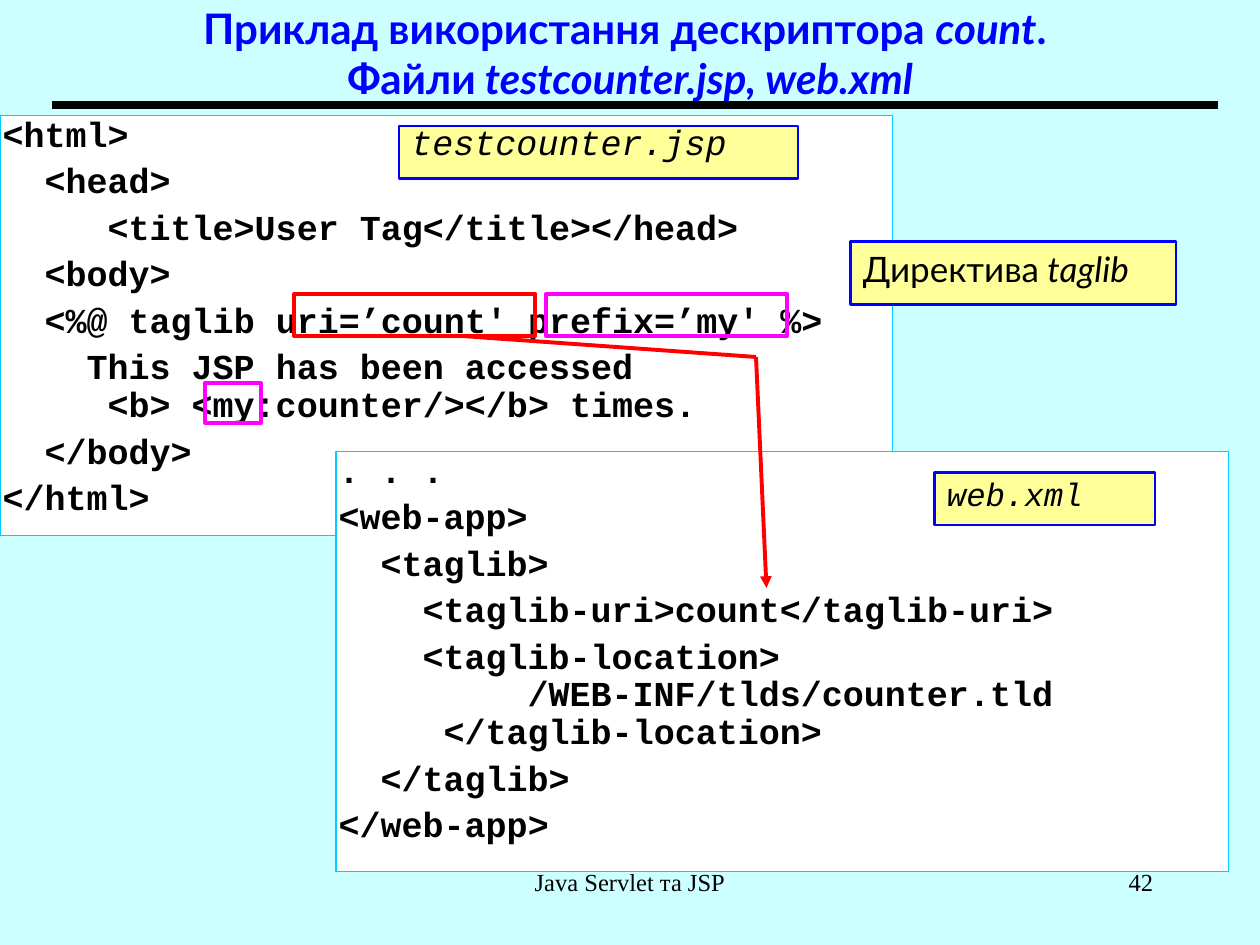
from lxml.etree import SubElement
from pptx import Presentation
from pptx.dml.color import RGBColor
from pptx.enum.shapes import MSO_CONNECTOR, MSO_SHAPE
from pptx.enum.text import MSO_ANCHOR, PP_ALIGN
from pptx.oxml.ns import qn
from pptx.util import Pt

CODE_FONT = "Courier New"
TEXT_FONT = "Lato"
FOOTER_FONT = "Times New Roman"
CODE_SIZE = 20
CHAR_WIDTH = 12

JSP_LINES = [
    (0, "<html>", 5),
    (2, "<head>", 5),
    (5, "<title>User Tag</title></head>", 5),
    (2, "<body>", 5),
    (2, "<%@ taglib uri=’count' prefix=’my' %>", 5),
    (4, "This JSP has been accessed", 5),
    (5, "<b> <my:counter/></b> times.", 0),
    (2, "</body>", 5),
    (0, "</html>", 5),
]
XML_LINES = [
    (0, ". . .", 5),
    (0, "<web-app>", 5),
    (2, "<taglib>", 5),
    (4, "<taglib-uri>count</taglib-uri>", 5),
    (4, "<taglib-location>", 5),
    (9, "/WEB-INF/tlds/counter.tld", 0),
    (5, "</taglib-location>", 0),
    (2, "</taglib>", 5),
    (0, "</web-app>", 5),
]


def rgb(value):
    """Turn a hex string into a colour."""
    return RGBColor.from_string(value)


def points(box):
    """Turn a tuple of numbers into lengths in points."""
    return [Pt(n) for n in box]


def add_run(p, text, font, size, color="000000", bold=False, italic=False):
    """Append one formatted run to a paragraph."""
    r = p.add_run()
    r.text = text
    r.font.name = font
    r.font.size = Pt(size)
    r.font.bold = bold
    r.font.italic = italic
    r.font.color.rgb = rgb(color)


def add_rect(s, box, fill, line, width):
    """Add a rectangle, unfilled when fill is None."""
    sp = s.shapes.add_shape(MSO_SHAPE.RECTANGLE, *points(box))
    sp.shadow.inherit = False
    if fill:
        sp.fill.solid()
        sp.fill.fore_color.rgb = rgb(fill)
    else:
        sp.fill.background()
    sp.line.color.rgb = rgb(line)
    sp.line.width = Pt(width)
    return sp


def add_line(s, ends, color, width, arrow=False):
    """Add a straight line, with an arrowhead at its end if asked."""
    cn = s.shapes.add_connector(MSO_CONNECTOR.STRAIGHT, *points(ends))
    cn.line.color.rgb = rgb(color)
    cn.line.width = Pt(width)
    if arrow:
        SubElement(cn.line._get_or_add_ln(), qn("a:tailEnd"), type="triangle")
    SubElement(cn._element.spPr, qn("a:effectLst"))


def add_title(s, box):
    """Place the title and the rule below it."""
    sp = s.shapes.title
    sp.left, sp.top, sp.width, sp.height = points(box)
    tf = sp.text_frame
    tf.word_wrap = True
    tf.vertical_anchor = MSO_ANCHOR.MIDDLE
    p = tf.paragraphs[0]
    p.alignment = PP_ALIGN.CENTER
    style = (TEXT_FONT, 24, "0000FF", True)
    add_run(p, "Приклад використання дескриптора ", *style)
    add_run(p, "count", *style, italic=True)
    add_run(p, ". ", *style)
    p.add_line_break()
    add_run(p, "Файли", *style)
    add_run(p, " testcounter.jsp, web.xml", *style, italic=True)
    left, top, width, height = box
    bottom = top + height
    add_line(s, (left + 30, bottom, left + width - 24, bottom), "000000", 4.5)


def add_code(s, box, lines):
    """Place a code panel with lines of (indent in characters, text, space before)."""
    tf = add_rect(s, box, "FFFFFF", "00CCFF", 1).text_frame
    tf.word_wrap = True
    tf.vertical_anchor = MSO_ANCHOR.TOP
    tf.margin_left, tf.margin_right = Pt(1.5), Pt(0)
    tf.margin_top = tf.margin_bottom = Pt(0.75)
    for i, (indent, text, before) in enumerate(lines):
        p = tf.add_paragraph() if i else tf.paragraphs[0]
        p.alignment = PP_ALIGN.LEFT
        p.line_spacing = 0.9
        p.space_before = Pt(before)
        p._p.get_or_add_pPr().set("marL", str(Pt(indent * CHAR_WIDTH)))
        add_run(p, text, CODE_FONT, CODE_SIZE, bold=True)


def add_label(s, box, runs, font, size, spacing):
    """Place a yellow label with runs of (text, italic)."""
    tf = add_rect(s, box, "FFFF99", "0000FF", 1.5).text_frame
    tf.word_wrap = True
    tf.vertical_anchor = MSO_ANCHOR.TOP
    p = tf.paragraphs[0]
    p.alignment = PP_ALIGN.LEFT
    p.line_spacing = spacing
    p.space_before = Pt(5)
    for text, italic in runs:
        add_run(p, text, font, size, italic=italic)


def add_footer(s, box, text, alignment):
    """Place one footer text."""
    tf = s.shapes.add_textbox(*points(box)).text_frame
    tf.word_wrap = True
    p = tf.paragraphs[0]
    p.alignment = alignment
    add_run(p, text, FOOTER_FONT, 14)


def main():
    """Build the slide and save it."""
    prs = Presentation()
    prs.slide_width, prs.slide_height = Pt(720), Pt(540)
    s = prs.slides.add_slide(prs.slide_layouts[5])
    s.background.fill.solid()
    s.background.fill.fore_color.rgb = rgb("CCFFFF")

    add_title(s, (0, 0, 720, 60))
    add_code(s, (0, 66, 510, 240), JSP_LINES)
    add_code(s, (192, 258, 510, 240), XML_LINES)
    add_label(s, (228, 72, 228, 30), [("testcounter.jsp", True)], CODE_FONT, 20, 0.7)
    add_label(s, (534, 270, 126, 30), [("web.xml", True)], CODE_FONT, 18.5, 0.9)
    add_line(s, (432, 204, 438, 336), "FF0000", 2.25, arrow=True)
    add_line(s, (264, 192, 432, 204), "FF0000", 2.25)
    directive = [("Директива", False), (" taglib", True)]
    add_label(s, (486, 138, 186, 36), directive, TEXT_FONT, 20, 1.0)
    for box, color in [
        ((312, 168, 138, 24), "FF00FF"),
        ((168, 168, 138, 24), "FF0000"),
        ((117, 219, 32, 22.5), "FF00FF"),
    ]:
        add_rect(s, box, None, color, 2.25)
    add_footer(s, (246, 492, 228, 36), "Java Servlet та JSP", PP_ALIGN.CENTER)
    add_footer(s, (516, 492, 150, 36), "42", PP_ALIGN.RIGHT)
    prs.save("out.pptx")


if __name__ == "__main__":
    main()
